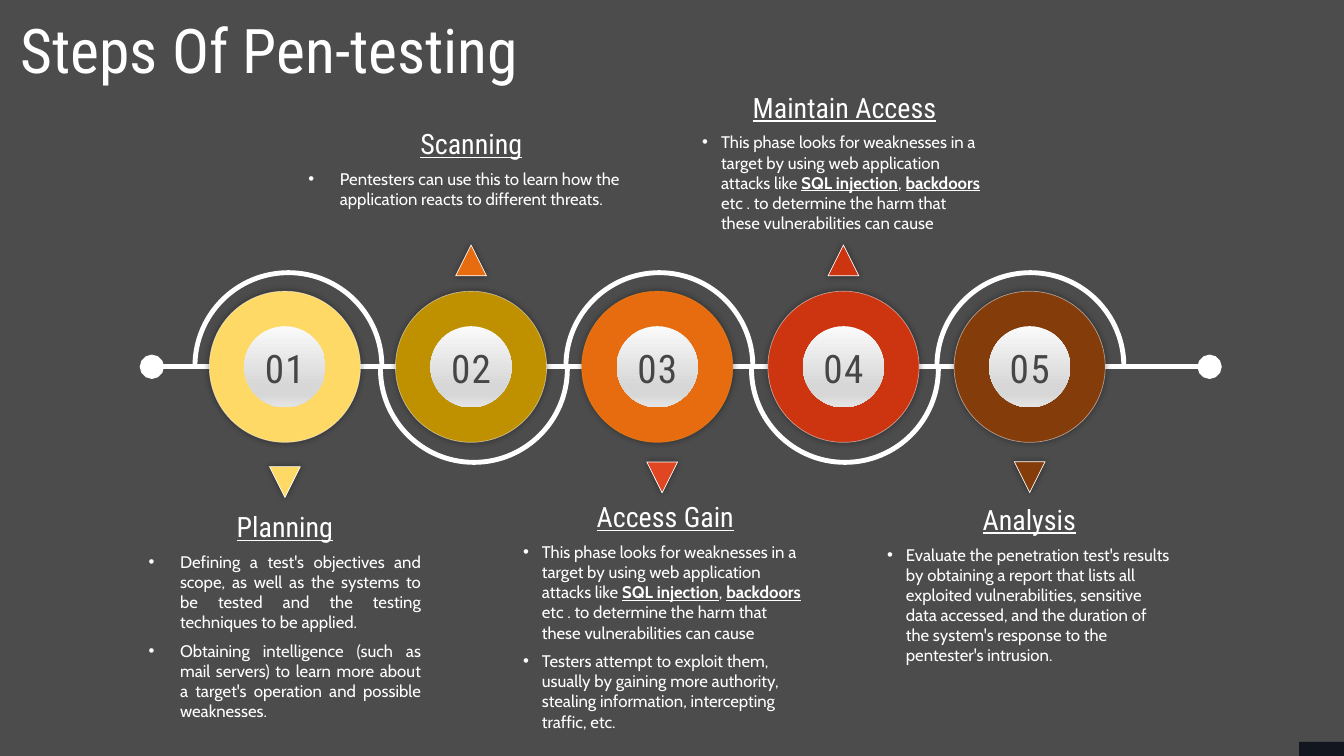
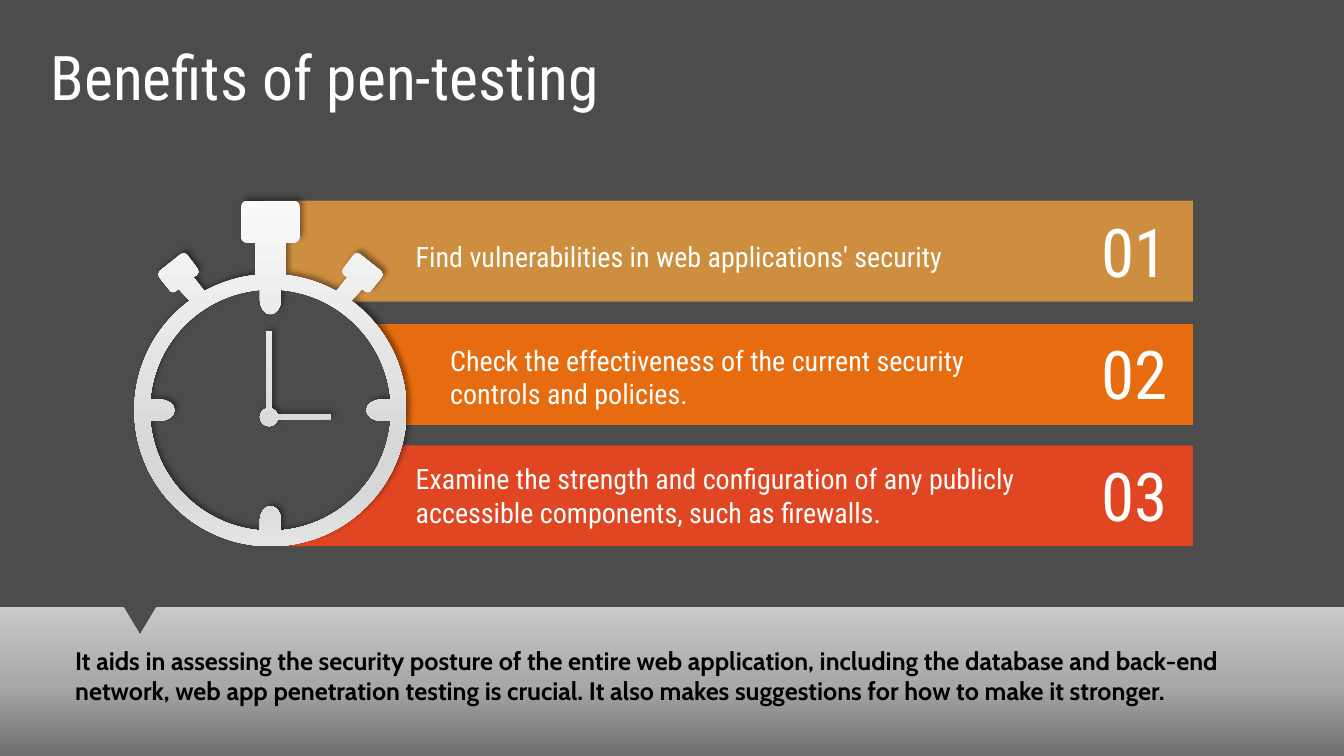
from math import acos, cos, degrees, radians, sin, tan
from typing import NamedTuple

from lxml.etree import SubElement
from pptx import Presentation
from pptx.dml.color import RGBColor
from pptx.enum.shapes import MSO_CONNECTOR, MSO_SHAPE as Preset
from pptx.enum.text import MSO_AUTO_SIZE as AutoSize, MSO_ANCHOR as Anchor, PP_ALIGN as Align
from pptx.oxml.ns import qn
from pptx.util import Pt

WHITE = RGBColor(0xFF, 0xFF, 0xFF)
BLACK = RGBColor(0, 0, 0)
NUMERAL_GREY = RGBColor(0x46, 0x46, 0x46)
NAVY = RGBColor(0x12, 0x17, 0x1F)
YELLOW = RGBColor(0xFF, 0xD9, 0x66)
GOLD = RGBColor(0xBF, 0x90, 0x00)
ORANGE = RGBColor(0xE7, 0x6C, 0x0F)
LIGHT_ORANGE = RGBColor(0xF8, 0x91, 0x20)
RED = RGBColor(0xCD, 0x34, 0x10)
BRIGHT_RED = RGBColor(0xE0, 0x46, 0x21)
BROWN = RGBColor(0x84, 0x3C, 0x0B)
TAN = RGBColor(0xCE, 0x8E, 0x40)
SILVER = [(0, "FAFAFA"), (74, "D7D7D7"), (83, "D7D7D7"), (100, "E4E4E4")]
STEEL = [(0, "6F6F6F"), (48, "A8A8A8"), (100, "C9C9C9")]
HEADING_FONT, BODY_FONT = "Roboto Condensed", "Cabin"
WIDTH, HEIGHT = 960, 540


class Box(NamedTuple):
    left: float
    top: float
    width: float
    height: float

    def lengths(self):
        return [Pt(value) for value in self]


class Spot(NamedTuple):
    """Point of an outline; two control spots between plain ones make a curve."""
    x: float
    y: float
    control: bool = False


class Phase(NamedTuple):
    name: str
    colour: RGBColor
    marker_colour: RGBColor
    marker_top: float
    caption: Box
    points: list
    indent: float = 13.5
    align: Align = Align.LEFT
    rim: RGBColor = WHITE
    marker_shift: float = 0


class Benefit(NamedTuple):
    text: str
    colour: RGBColor
    top: float
    label: Box


WEB_ATTACKS = (
    "This phase looks for weaknesses in a target by using web application attacks like "
    "**SQL injection**, **backdoors** etc . to determine the harm that these "
    "vulnerabilities can cause")
PHASES = [
    Phase("Planning", YELLOW, YELLOW, 333.3, Box(99, 360.5, 209, 160), [
        "Defining a test's objectives and scope, as well as the systems to be tested and "
        "the testing techniques to be applied.",
        "Obtaining intelligence (such as mail servers) to learn more about a target's "
        "operation and possible weaknesses."], indent=22.5, align=Align.JUSTIFY),
    Phase("Scanning", GOLD, ORANGE, 175, Box(213.2, 87, 247, 67), [
        "Pentesters can use this to learn how the application reacts to different threats."],
        indent=22.5),
    Phase("Access Gain", ORANGE, BRIGHT_RED, 330, Box(366.5, 353.3, 217.5, 174), [
        WEB_ATTACKS,
        "Testers attempt to exploit them, usually by gaining more authority, stealing "
        "information, intercepting traffic, etc."], rim=LIGHT_ORANGE, marker_shift=3.5),
    Phase("Maintain Access", RED, RED, 175, Box(494.5, 60.8, 217.5, 110), [WEB_ATTACKS]),
    Phase("Analysis", BROWN, BROWN, 329.8, Box(626.5, 355.2, 217.5, 125), [
        "Evaluate the penetration test's results by obtaining a report that lists all "
        "exploited vulnerabilities, sensitive data accessed, and the duration of the "
        "system's response to the pentester's intrusion."]),
]
BENEFITS = [
    Benefit("Find vulnerabilities in web applications' security", TAN, 143.4,
            Box(292, 168.4, 476.5, 29)),
    Benefit("Check the effectiveness of the current security controls and policies.", ORANGE,
            231.6, Box(316.6, 242.8, 444, 53)),
    Benefit("Examine the strength and configuration of any publicly accessible components, "
            "such as firewalls.", BRIGHT_RED, 318.2, Box(292, 327.5, 476.5, 53)),
]
CONCLUSION = (
    "It aids in assessing the security posture of the entire web application, including the "
    "database and back-end network, web app penetration testing is crucial. It also makes "
    "suggestions for how to make it stronger.")


def write(para, text, *, size, font=HEADING_FONT, colour=WHITE, bold=False, underline=False,
          align=Align.LEFT, before=0, indent=0, tracking=0):
    """Fill a paragraph; text between ** marks is bold and underlined, an indent adds a bullet."""
    if indent:
        props = para._p.get_or_add_pPr()
        props.set("marL", str(Pt(indent)))
        props.set("indent", str(-Pt(indent)))
        SubElement(props, qn("a:buFont"), typeface="Arial")
        SubElement(props, qn("a:buChar"), char="•")
    para.alignment = align
    if before:
        para.space_before = Pt(before)
    for index, part in enumerate(text.split("**")):
        strong = index % 2 == 1
        span = para.add_run()
        span.text = part
        span.font.name, span.font.size = font, Pt(size)
        span.font.bold, span.font.underline = bold or strong, underline or strong
        span.font.color.rgb = colour
        if tracking:
            span._r.get_or_add_rPr().set("spc", str(tracking * 100))


def fill_frame(shape, text, inset=(7.2, 3.6), **style):
    frame = shape.text_frame
    frame.word_wrap, frame.auto_size, frame.vertical_anchor = True, AutoSize.NONE, Anchor.TOP
    frame.margin_left = frame.margin_right = Pt(inset[0])
    frame.margin_top = frame.margin_bottom = Pt(inset[1])
    write(frame.paragraphs[0], text, **style)
    return frame


def add_text(page, box, text, **style):
    return fill_frame(page.shapes.add_textbox(*box.lengths()), text, **style)


def fade(part, opacity):
    """Set the opacity, in percent, of the colour inside an XML part."""
    SubElement(part.find(".//" + qn("a:srgbClr")), qn("a:alpha"), val=str(opacity * 1000))


def paint(shape, fill, angle=270, rim=None, rim_opacity=100):
    """Fill with a colour or a list of gradient stops, and give a thin rim or none."""
    shape.shadow.inherit = False
    if isinstance(fill, RGBColor):
        shape.fill.solid()
        shape.fill.fore_color.rgb = fill
    else:
        shape.fill.gradient()
        shape.fill.gradient_angle = angle
        stops = shape._element.find(".//" + qn("a:gsLst"))
        stops[:] = []
        for place, colour in fill:
            stop = SubElement(stops, qn("a:gs"), pos=str(place * 1000))
            SubElement(stop, qn("a:srgbClr"), val=colour)
    if rim is None:
        shape.line.fill.background()
    else:
        shape.line.width, shape.line.color.rgb = Pt(0.5), rim
        fade(shape._element.spPr.find(qn("a:ln")), rim_opacity)
    return shape


def add_shadow(shape, blur=5, distance=0, direction=0):
    effects = shape._element.spPr.find(qn("a:effectLst"))
    shadow = SubElement(effects, qn("a:outerShdw"), blurRad=str(Pt(blur)), dist=str(Pt(distance)),
                        dir=str(direction * 60000), algn="ctr", rotWithShape="0")
    SubElement(shadow, qn("a:srgbClr"), val="000000")
    fade(shadow, 40)


def add_preset(page, preset, box, fill, **look):
    return paint(page.shapes.add_shape(preset, *box.lengths()), fill, **look)


def add_disc(page, x, y, size, fill, **look):
    return add_preset(page, Preset.OVAL, Box(x - size / 2, y - size / 2, size, size), fill, **look)


def add_outline(page, contours, fill, origin=(0, 0), **look):
    """Draw closed contours, in points from the origin, as one shape."""
    builder = None
    for contour in contours:
        first, *others = [(Pt(origin[0] + spot[0]), Pt(origin[1] + spot[1])) for spot in contour]
        if builder is None:
            builder = page.shapes.build_freeform(*first)
        else:
            builder.move_to(*first)
        builder.add_line_segments(others, close=True)
    shape = builder.convert_to_shape()
    outline = shape._element.find(".//" + qn("a:pathLst"))[0]
    steps = [step for step in outline if step.tag != qn("a:close")]
    curve = None
    for step, spot in zip(steps, [Spot(*spot) for contour in contours for spot in contour]):
        if curve is not None:
            curve.append(step[0])
            outline.remove(step)
            curve = curve if spot.control else None
        elif spot.control:
            step.tag = qn("a:cubicBezTo")
            curve = step
    return paint(shape, fill, **look)


def bend(first, second, end):
    return [Spot(*first, True), Spot(*second, True), Spot(*end)]


def arc(radius, start, end, centre=(0, 0)):
    """Curves along a circle; degrees run clockwise from the top."""
    def at(angle, pull=0):
        a = radians(angle)
        return (centre[0] + radius * (sin(a) + pull * cos(a)),
                centre[1] - radius * (cos(a) - pull * sin(a)))
    spots = [Spot(*at(start))]
    while start < end:
        stop = min(end, (start // 90 + 1) * 90)
        pull = 4 / 3 * tan(radians(stop - start) / 4)
        spots += bend(at(start, pull), at(stop, -pull), at(stop))
        start = stop
    return spots


def new_page(deck, title, title_box):
    page = deck.slides.add_slide(deck.slide_layouts[5])
    heading = page.shapes.title
    heading.left, heading.top, heading.width, heading.height = title_box.lengths()
    fill_frame(heading, title, size=44)
    add_preset(page, Preset.RECTANGLE, Box(928, 530, 32, 10), NAVY)
    return page


def add_track(page, axis):
    """White line with round ends, and half rings alternating above and below it."""
    outer, inner = arc(68.5, 270, 450, (68.5, 68.5)), arc(65, 270, 450, (68.5, 68.5))
    half_ring = [(0, 70), *outer, (137, 70), (133.5, 70), *reversed(inner), (3.5, 70)]
    for index in range(len(PHASES)):
        below = index % 2 == 1
        origin = (137.5 + 132.5 * index, axis if below else axis - 69)
        ring = add_outline(page, [half_ring], WHITE, origin)
        ring.rotation = 180 if below else 0
    line = page.shapes.add_connector(MSO_CONNECTOR.STRAIGHT, Pt(108.5), Pt(axis), Pt(864), Pt(axis))
    line.line.width, line.line.color.rgb = Pt(3.5), WHITE
    for end in ("a:headEnd", "a:tailEnd"):
        SubElement(line._element.spPr.find(qn("a:ln")), qn(end), type="oval", w="lg", len="lg")
    SubElement(line._element.spPr, qn("a:effectLst"))


def add_phase(page, phase, number, x, axis):
    add_shadow(add_disc(page, x, axis, 108, phase.colour, rim=phase.rim, rim_opacity=50))
    add_disc(page, x, axis, 58, SILVER)
    add_text(page, Box(x - 20, axis - 18.5, 40, 39), f"{number:02}", inset=(5, 2.5), size=28,
             colour=NUMERAL_GREY, align=Align.CENTER, tracking=1)
    marker = add_preset(page, Preset.ISOSCELES_TRIANGLE, Box(
        x + phase.marker_shift - 11, phase.marker_top, 22, 22), phase.marker_colour, rim=WHITE)
    marker.rotation = 180 if phase.marker_top > axis else 0
    add_shadow(marker)
    caption = add_text(page, phase.caption, phase.name, size=20, underline=True, align=Align.CENTER)
    for point in phase.points:
        write(caption.add_paragraph(), point, size=12, font=BODY_FONT, align=phase.align,
              before=6, indent=phase.indent)


def add_benefit(page, benefit, number, bar, centre):
    """Bar whose left edge follows the stopwatch ring."""
    radius, right, bottom = 96, bar.left + bar.width, bar.top + bar.height
    start, end = [degrees(acos(max(-1, min(1, (centre[1] - y) / radius))))
                  for y in (bar.top, bottom)]
    edge = arc(radius, start, end, centre)
    if start == 0:
        edge = [(bar.left, bar.top), (bar.left, edge[0].y)] + edge
    if end == 180:
        edge += [(bar.left, edge[-1].y), (bar.left, bottom)]
    add_outline(page, [edge + [(right, bottom), (right, bar.top)]], benefit.colour)
    add_text(page, benefit.label, benefit.text, inset=(5, 2.5), size=20)
    add_text(page, Box(right - 77.5, 60 + 87 * number, 72, 65.5), f"{number:02}",
             size=48, align=Align.CENTER)


def add_stopwatch(page, centre):
    """Stopwatch whose dial has the given centre; crown and buttons stand above it."""
    radius = 97.2
    crown = [(0, -149.7), (16.5, -149.7), *bend((19, -149.7), (21, -148), (21, -145)),
             (21, -124), *bend((21, -121.5), (19, -119.5), (16.5, -119.5)), (11, -119.5)]
    button = [(55, -95), (52.5, -96.5), *bend((51, -98), (51, -99.5), (52, -101)),
              (59.5, -111), *bend((60.5, -112.5), (62.5, -112.5), (64, -111.5)),
              (79, -99.5), *bend((80.5, -98), (80.5, -96), (79.5, -95)),
              (71.5, -85), *bend((70.5, -84), (69, -84), (67.5, -85)), (65.5, -86.5)]
    half = [Spot(*spot) for spot in
            crown + arc(radius, 6.5, 29) + button + arc(radius, 36.5, 180)]
    case = half + [Spot(-x, y, control) for x, y, control in reversed(half[1:-1])]
    peg = [Spot(x, 1.33 * y - 78.5, control) for x, y, control in reversed(arc(7.5, 90, 270))]
    face, quarter = [], peg + arc(radius - 11, 5, 85)
    for _ in range(4):
        face += quarter
        quarter = [Spot(-y, x, control) for x, y, control in quarter]
    pivot = (-1, 5)
    hands = ([(-3, -56), (1, -56)] + arc(6.5, 18, 72, pivot)
             + [(43, 3), (43, 6.5)] + arc(6.5, 104, 342, pivot))
    watch = add_outline(page, [case, face, hands], SILVER, centre)
    add_shadow(watch, blur=4, distance=3, direction=315)


def add_conclusion(page, band):
    outline = [(0, 0), (88, 0), (100, 20), (112, 0), (band.width, 0),
               (band.width, band.height), (0, band.height)]
    add_outline(page, [outline], STEEL, (band.left, band.top), angle=90)
    add_text(page, Box(band.left + 46.6, band.top + 23.8, 866, 51), CONCLUSION, size=18,
             font=BODY_FONT, colour=BLACK, bold=True)


def build_steps(deck):
    page, axis = new_page(deck, "Steps Of Pen-testing", Box(7.5, 5, 468, 60.5)), 262
    add_track(page, axis)
    for index, phase in enumerate(PHASES):
        add_phase(page, phase, index + 1, 203.5 + 133 * index, axis)
    return page


def build_benefits(deck):
    page, dial = new_page(deck, "Benefits of pen-testing", Box(29, 24, 468, 60.5)), (193.2, 293)
    add_conclusion(page, Box(0, 433.5, WIDTH, HEIGHT - 433.5))
    for number, benefit in enumerate(BENEFITS, 1):
        add_benefit(page, benefit, number, Box(188.5, benefit.top, 663.5, 72), dial)
    add_stopwatch(page, dial)


def main():
    deck = Presentation()
    deck.slide_width, deck.slide_height = Pt(WIDTH), Pt(HEIGHT)
    page = build_steps(deck)
    veil = add_preset(page, Preset.RECTANGLE, Box(0, 0, WIDTH, HEIGHT), BLACK)
    fade(veil._element.spPr, 70)
    deck.slide_master.shapes._spTree.insert(2, veil._element)
    build_benefits(deck)
    deck.save("out.pptx")


if __name__ == "__main__":
    main()
